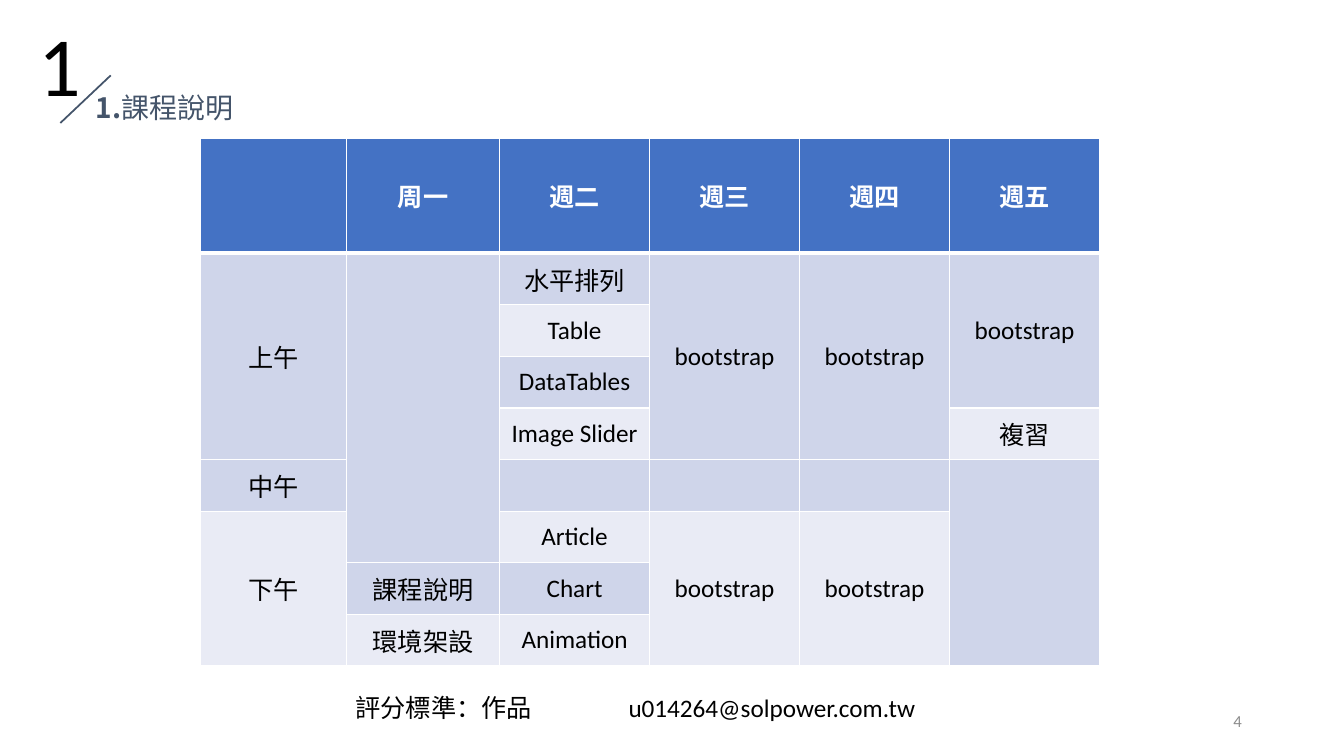
from dataclasses import dataclass

from lxml import etree
from pptx import Presentation
from pptx.dml.color import RGBColor
from pptx.enum.shapes import MSO_CONNECTOR
from pptx.enum.text import MSO_ANCHOR, PP_ALIGN
from pptx.oxml.ns import qn
from pptx.slide import Slide
from pptx.table import Table, _Cell
from pptx.text.text import _Paragraph
from pptx.util import Cm, Pt

LEFT, CENTER, RIGHT, JUSTIFY = PP_ALIGN.LEFT, PP_ALIGN.CENTER, PP_ALIGN.RIGHT, PP_ALIGN.JUSTIFY
TOP, MIDDLE = MSO_ANCHOR.TOP, MSO_ANCHOR.MIDDLE
STRAIGHT = MSO_CONNECTOR.STRAIGHT

COLORS = {
    "black": "000000",
    "white": "FFFFFF",
    "slate": "44546A",
    "gray": "8C8C8C",
    "header": "4472C4",
    "odd_row": "CFD5EA",
    "even_row": "E9EBF5",
}

BODY = {"name": "Calibri", "size": Pt(18), "bold": False, "color": "black"}
HEADER = BODY | {"bold": True, "color": "white"}
TITLE = {"name": "Noto Sans CJK SC", "size": Pt(20), "bold": False, "color": "slate"}

COLUMN_WIDTHS = (3.68, 3.86, 3.78, 3.78, 3.78, 3.78)
HEADER_HEIGHT = 2.9
ROW_HEIGHT = 1.3
ROW_COUNT = 9
WEEKDAYS = ("周一", "週二", "週三", "週四", "週五")


@dataclass
class TextBox:
    left: float
    top: float
    width: float
    height: float
    runs: list[tuple[str, dict]]
    alignment: PP_ALIGN = LEFT
    anchor: MSO_ANCHOR = TOP
    tab_stop: float | None = None


@dataclass
class Lesson:
    """A timetable entry that covers row_span rows from its first row."""
    row: int
    column: int
    text: str
    row_span: int = 1


TEXT_BOXES = [
    TextBox(0.71, 0.18, 3.63, 2.82, [("1", BODY | {"size": Pt(60)})], JUSTIFY),
    TextBox(2.16, 2.16, 16.26, 1.12, [("1.", TITLE | {"bold": True}), ("課程說明", TITLE)]),
    TextBox(23.93, 17.65, 7.62, 1.02, [("4", BODY | {"size": Pt(12), "color": "gray"})],
            RIGHT, MIDDLE),
    TextBox(8.71, 17.32, 16, 1.02, [("評分標準：作品\tu014264@solpower.com.tw", BODY)],
            tab_stop=6.88),
]

LESSONS = [
    Lesson(1, 0, "上午", 4),
    Lesson(5, 0, "中午"),
    Lesson(6, 0, "下午", 3),
    Lesson(1, 1, "", 6),
    Lesson(7, 1, "課程說明"),
    Lesson(8, 1, "環境架設"),
    Lesson(1, 2, "水平排列"),
    Lesson(2, 2, "Table"),
    Lesson(3, 2, "DataTables"),
    Lesson(4, 2, "Image Slider"),
    Lesson(6, 2, "Article"),
    Lesson(7, 2, "Chart"),
    Lesson(8, 2, "Animation"),
    Lesson(1, 3, "bootstrap", 4),
    Lesson(6, 3, "bootstrap", 3),
    Lesson(1, 4, "bootstrap", 4),
    Lesson(6, 4, "bootstrap", 3),
    Lesson(1, 5, "bootstrap", 3),
    Lesson(4, 5, "複習"),
    Lesson(5, 5, "", 4),
]


def rgb(color: str) -> RGBColor:
    return RGBColor.from_string(COLORS[color])


def add_run(paragraph: _Paragraph, text: str, text_format: dict) -> None:
    run = paragraph.add_run()
    run.text = text
    for attribute, value in text_format.items():
        if attribute == "color":
            run.font.color.rgb = rgb(value)
        else:
            setattr(run.font, attribute, value)


def add_text_box(slide: Slide, box: TextBox) -> None:
    shape = slide.shapes.add_textbox(Cm(box.left), Cm(box.top), Cm(box.width), Cm(box.height))
    frame = shape.text_frame
    frame.word_wrap = True
    frame.vertical_anchor = box.anchor
    paragraph = frame.paragraphs[0]
    paragraph.alignment = box.alignment
    if box.tab_stop is not None:
        tabs = etree.SubElement(paragraph._p.get_or_add_pPr(), qn("a:tabLst"))
        etree.SubElement(tabs, qn("a:tab"), pos=str(Cm(box.tab_stop)), algn="l")
    for text, text_format in box.runs:
        add_run(paragraph, text, text_format)


def add_title_slash(slide: Slide) -> None:
    slash = slide.shapes.add_connector(STRAIGHT, Cm(2.79), Cm(1.9), Cm(1.52), Cm(3.1))
    slash.line.color.rgb = rgb("slate")
    slash.line.width = Pt(1.25)
    etree.SubElement(slash._element.spPr, qn("a:effectLst"))


def set_borders(cell: _Cell, row: int) -> None:
    """Draw white borders, with a heavier one below the header row."""
    widths = {"L": 1, "R": 1, "T": 3 if row == 1 else 1, "B": 3 if row == 0 else 1}
    properties = cell._tc.get_or_add_tcPr()
    for side, width in widths.items():
        line = etree.SubElement(properties, qn(f"a:ln{side}"), w=str(Pt(width)))
        fill = etree.SubElement(line, qn("a:solidFill"))
        etree.SubElement(fill, qn("a:srgbClr"), val=COLORS["white"])


def style_cell(cell: _Cell, row: int) -> None:
    set_borders(cell, row)
    cell.vertical_anchor = MIDDLE
    cell.fill.solid()
    band = "odd_row" if row % 2 else "even_row"
    cell.fill.fore_color.rgb = rgb("header" if row == 0 else band)


def write_cell(cell: _Cell, text: str, text_format: dict) -> None:
    paragraph = cell.text_frame.paragraphs[0]
    paragraph.alignment = CENTER
    add_run(paragraph, text, text_format)


def add_lesson(table: Table, lesson: Lesson) -> None:
    cell = table.cell(lesson.row, lesson.column)
    if lesson.row_span > 1:
        cell.merge(table.cell(lesson.row + lesson.row_span - 1, lesson.column))
    if lesson.text:
        write_cell(cell, lesson.text, BODY)


def add_timetable(slide: Slide) -> None:
    heights = [HEADER_HEIGHT] + [ROW_HEIGHT] * (ROW_COUNT - 1)
    frame = slide.shapes.add_table(ROW_COUNT, len(COLUMN_WIDTHS), Cm(5.05), Cm(3.48),
                                   Cm(sum(COLUMN_WIDTHS)), Cm(sum(heights)))
    table = frame.table
    for column, width in zip(table.columns, COLUMN_WIDTHS):
        column.width = Cm(width)
    for index, (row, height) in enumerate(zip(table.rows, heights)):
        row.height = Cm(height)
        for cell in row.cells:
            style_cell(cell, index)
    for column, weekday in enumerate(WEEKDAYS, start=1):
        write_cell(table.cell(0, column), weekday, HEADER)
    for lesson in LESSONS:
        add_lesson(table, lesson)


def main() -> None:
    presentation = Presentation()
    presentation.slide_width = Cm(33.87)
    presentation.slide_height = Cm(19.05)
    slide = presentation.slides.add_slide(presentation.slide_layouts[6])
    add_title_slash(slide)
    for box in TEXT_BOXES:
        add_text_box(slide, box)
    add_timetable(slide)
    presentation.save("out.pptx")


if __name__ == "__main__":
    main()
